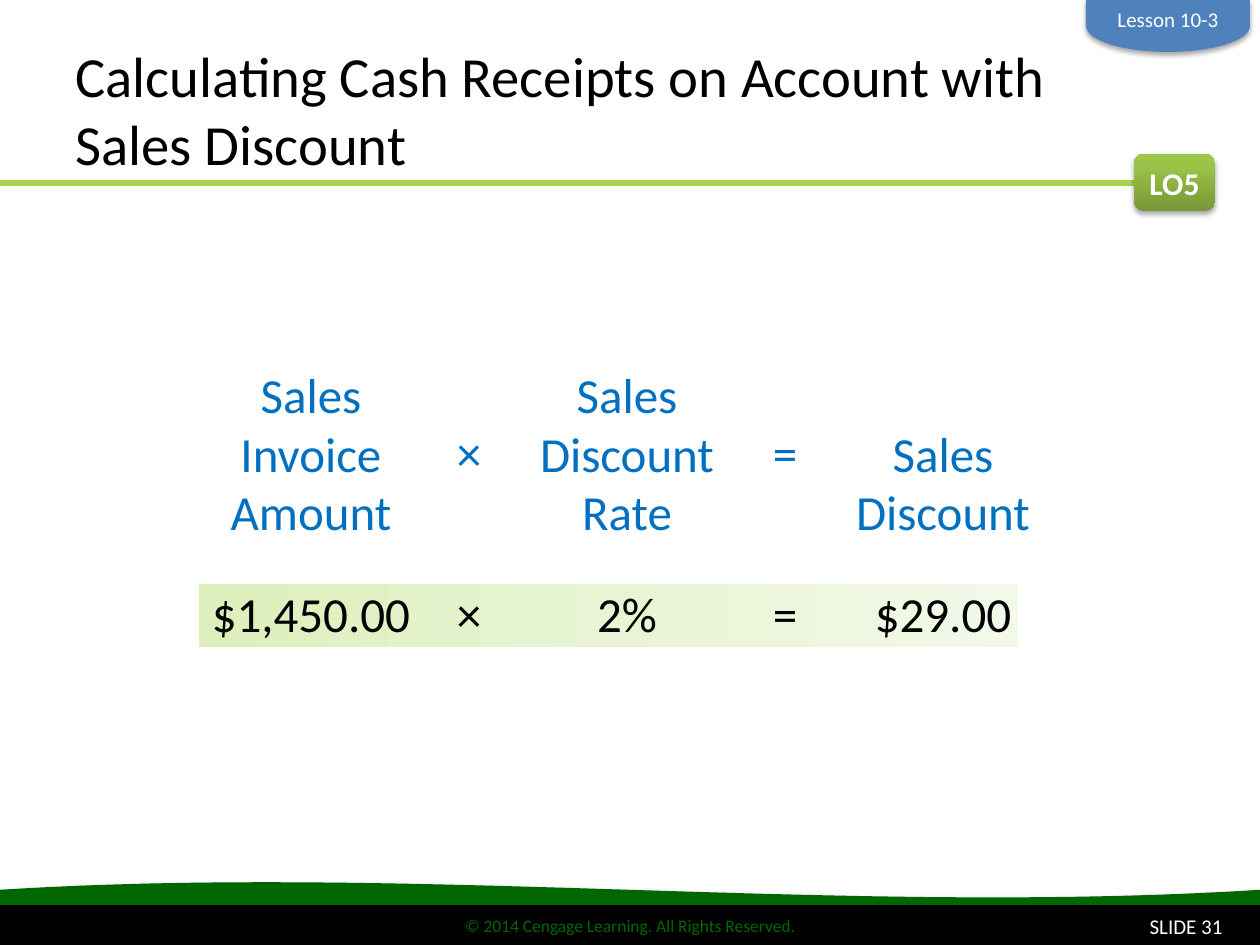
from lxml.etree import SubElement
from pptx import Presentation
from pptx.dml.color import RGBColor
from pptx.enum.shapes import MSO_CONNECTOR, MSO_SHAPE as Shape
from pptx.enum.text import MSO_ANCHOR as Anchor, PP_ALIGN as Align
from pptx.oxml.ns import qn
from pptx.util import Emu, Pt

EMU_PER_PX = 914400 / 126
FONT = "Calibri"
BLACK = RGBColor(0x00, 0x00, 0x00)
WHITE = RGBColor(0xFF, 0xFF, 0xFF)
DARK_GREEN = RGBColor(0x00, 0x66, 0x00)
LIME = RGBColor(0xAA, 0xD2, 0x4B)
TAB_BLUE = RGBColor(0x4F, 0x81, 0xBD)
TERM_BLUE = RGBColor(0x00, 0x70, 0xC0)
BADGE_STOPS = [
    (0, RGBColor(0x77, 0x97, 0x37)),
    (80, RGBColor(0x9B, 0xC3, 0x48)),
    (100, RGBColor(0x9D, 0xC7, 0x46)),
]
BAND_STOPS = [
    (0, RGBColor(0xDD, 0xEF, 0xBB)),
    (50, RGBColor(0xE8, 0xF4, 0xD4)),
    (100, RGBColor(0xF3, 0xF9, 0xE9)),
]


def px(length):
    return Emu(round(length * EMU_PER_PX))


def write(shape, text, size, color, align=Align.CENTER, anchor=Anchor.MIDDLE,
          bold=False, wrap=True):
    frame = shape.text_frame
    frame.text = text
    frame.word_wrap = wrap
    frame.vertical_anchor = anchor
    for paragraph in frame.paragraphs:
        paragraph.alignment = align
        font = paragraph.font
        font.name, font.size, font.bold = FONT, Pt(size), bold
        font.color.rgb = color


def add_text(slide, box, text, size, color, **style):
    label = slide.shapes.add_textbox(*map(px, box))
    write(label, text, size, color, **style)


def add_block(slide, kind, box, color=None):
    block = slide.shapes.add_shape(kind, *map(px, box))
    block.shadow.inherit = False
    block.line.fill.background()
    if color is not None:
        block.fill.solid()
        block.fill.fore_color.rgb = color
    return block


def set_gradient(shape, stops, angle):
    """Fill with (percent, colour) stops; the angle runs counter-clockwise."""
    shape.fill.gradient()
    shape.fill.gradient_angle = angle
    stop_list = shape._element.spPr.find(qn("a:gradFill")).find(qn("a:gsLst"))
    for old_stop in list(stop_list):
        stop_list.remove(old_stop)
    for percent, color in stops:
        stop = SubElement(stop_list, qn("a:gs"), pos=str(percent * 1000))
        SubElement(stop, qn("a:srgbClr"), val=str(color))


def drop_shadow(shape):
    effects = shape._element.spPr.find(qn("a:effectLst"))
    shadow = SubElement(effects, qn("a:outerShdw"), blurRad=str(Pt(3.1)),
                        dist=str(Pt(1.8)), dir="5400000", rotWithShape="0")
    color = SubElement(shadow, qn("a:srgbClr"), val=str(BLACK))
    SubElement(color, qn("a:alpha"), val="35000")


def add_footer(slide, left, top, width, height):
    wave = add_block(slide, Shape.WAVE, (left, top, width, height), DARK_GREEN)
    drop_shadow(wave)
    bar_top, bar_height = top + 25, height - 25
    bar = add_block(slide, Shape.RECTANGLE,
                    (left, bar_top, width, bar_height), BLACK)
    bar.line.color.rgb = BLACK
    bar.line.width = Pt(2)
    write(bar, "© 2014 Cengage Learning. All Rights Reserved.", 10, DARK_GREEN)
    slide_number = add_block(slide, Shape.RECTANGLE,
                             (left + width - 277, bar_top, 252, bar_height), BLACK)
    write(slide_number, "SLIDE 31", 12, WHITE, align=Align.RIGHT)


def add_header(slide, left, top, width, height):
    rule_y = top + height
    rule = slide.shapes.add_connector(
        MSO_CONNECTOR.STRAIGHT, px(left), px(rule_y), px(left + 1197), px(rule_y))
    rule.line.color.rgb = LIME
    rule.line.width = Pt(3)
    SubElement(rule._element.spPr, qn("a:effectLst"))
    add_text(slide, (left + 63, top + 25, 1071, height - 25),
             "Calculating Cash Receipts on Account with Sales Discount",
             32.4, BLACK, align=Align.LEFT, anchor=Anchor.BOTTOM)

    objective = add_block(slide, Shape.ROUNDED_RECTANGLE,
                          (left + width - 126, rule_y - 29, 81, 57))
    set_gradient(objective, BADGE_STOPS, 90)
    drop_shadow(objective)
    write(objective, "LO5", 18, WHITE, bold=True, wrap=False)


def add_lesson_tab(slide, left, top, width, height):
    """Turn a delay shape by a quarter so that its round end points down."""
    inset = (width - height) // 2
    tab = add_block(slide, Shape.FLOWCHART_DELAY,
                    (left + inset, top - inset, height, width), TAB_BLUE)
    tab.rotation = 90
    drop_shadow(tab)
    add_text(slide, (left, top, width, 38), "Lesson 10-3", 12, WHITE)


def add_equation(slide, left, top, width):
    """Set the formula in words above the same formula in figures."""
    band = add_block(slide, Shape.RECTANGLE, (left + 14, top + 227, width - 65, 63))
    set_gradient(band, BAND_STOPS, 0)
    term_width, sign_width = 252, 64
    columns = [
        ("Sales\nInvoice\nAmount", "$1,450.00", term_width),
        ("×", "×", sign_width),
        ("Sales\nDiscount\nRate", "2%", term_width),
        ("=", "=", sign_width),
        ("Sales\nDiscount", "$29.00", term_width),
    ]
    x = left
    for words, figure, column_width in columns:
        if column_width == term_width:
            words_box = (x, top, column_width, 190)
        else:
            words_box = (x, top + 59, column_width, 72)
        add_text(slide, words_box, words, 28, TERM_BLUE, anchor=Anchor.BOTTOM)
        add_text(slide, (x, top + 220, column_width, 72), figure, 28, BLACK)
        x += column_width


def main():
    presentation = Presentation()
    presentation.slide_width, presentation.slide_height = px(1260), px(945)
    slide = presentation.slides.add_slide(presentation.slide_layouts[6])
    add_footer(slide, 0, 882, 1260, 63)
    add_header(slide, 0, 0, 1260, 183)
    add_lesson_tab(slide, 1086, 0, 164, 52)
    add_equation(slide, 185, 357, 884)
    presentation.save("out.pptx")


if __name__ == "__main__":
    main()
